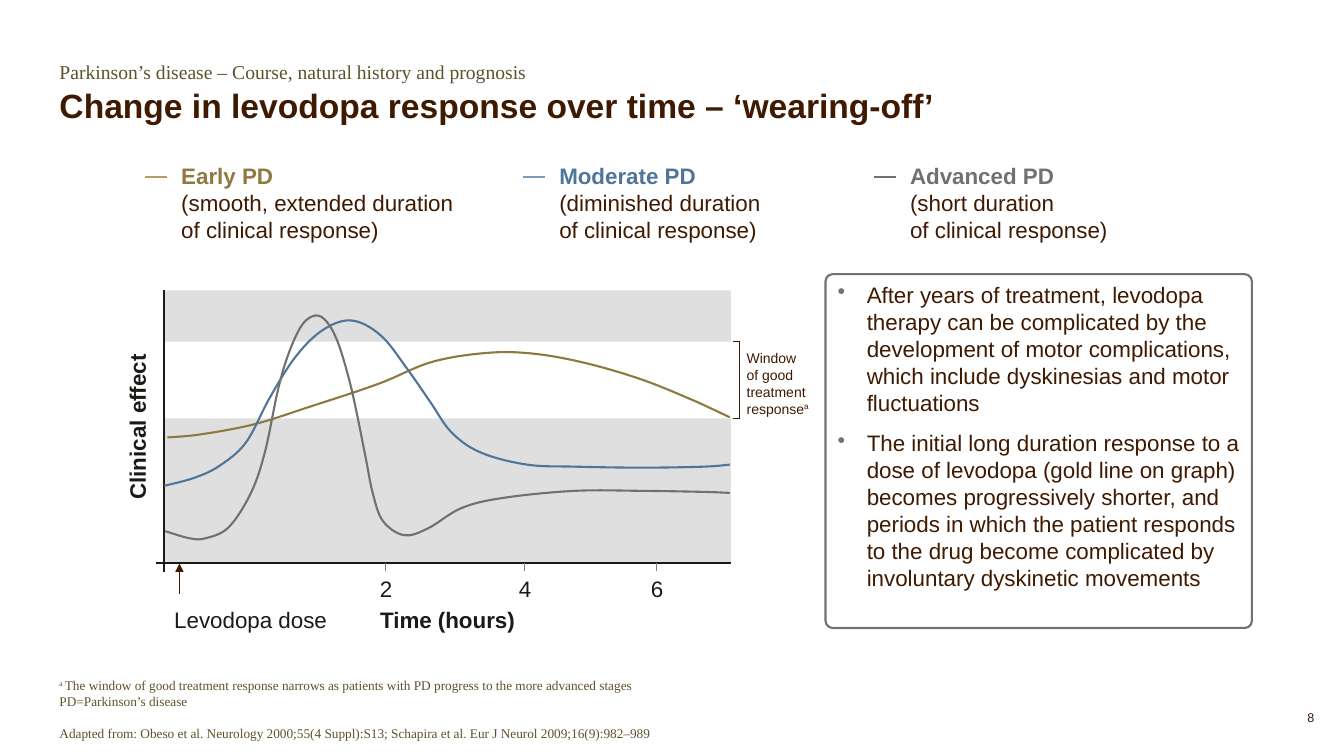
import pptx
import pptx.util
import pptx.dml.color
import pptx.enum.shapes
import pptx.enum.text
import pptx.oxml
import pptx.oxml.ns
from pptx.util import Inches

BROWN, INK, GREY, OLIVE = "3F1A01", "1A1A17", "717171", "5E512C"
GOLD, BLUE, BAND, TICK = "8E7941", "4F7599", "DFDFDF", "7F7F7F"
SERIF = "Times New Roman"

TOPIC = "Parkinson’s disease – Course, natural history and prognosis"
TITLE = "Change in levodopa response over time – ‘wearing-off’"
NOTES = [
    "The window of good treatment response narrows as patients with PD progress to the more advanced stages",
    "PD=Parkinson’s disease",
    "Adapted from: Obeso et al. Neurology 2000;55(4 Suppl):S13; Schapira et al. Eur J Neurol 2009;16(9):982–989",
]
POINTS = [
    "After years of treatment, levodopa therapy can be complicated by the development of motor "
    "complications, which include dyskinesias and motor fluctuations",
    "The initial long duration response to a dose of levodopa (gold line on graph) becomes "
    "progressively shorter, and periods in which the patient responds to the drug become "
    "complicated by involuntary dyskinetic movements",
]
LEGEND = [
    (1.44, 2.97, "Early PD", "(smooth, extended duration of clinical response)", GOLD, "B59E5F"),
    (5.19, 2.69, "Moderate PD", "(diminished duration \vof clinical response)", BLUE, "7B9CBB"),
    (8.67, 2.69, "Advanced PD", "(short duration \vof clinical response)", GREY, GREY),
]
HOURS = [("2", 3.82), ("4", 5.2), ("6", 6.51)]
CURVES = [
    (GOLD, [(1.66, 4.34), (1.99, 4.31), (2.52, 4.21), (3.06, 4.04), (3.75, 3.81), (4.29, 3.59),
            (4.85, 3.5), (5.3, 3.51), (5.8, 3.6), (6.35, 3.76), (6.85, 3.96), (7.24, 4.14)]),
    (BLUE, [(1.63, 4.82), (1.93, 4.74), (2.18, 4.62), (2.44, 4.39), (2.68, 3.94), (2.94, 3.53),
            (3.21, 3.27), (3.49, 3.18), (3.78, 3.33), (4.04, 3.66), (4.27, 3.99), (4.48, 4.29),
            (4.77, 4.49), (5.23, 4.61), (5.71, 4.63), (6.37, 4.64), (6.98, 4.63), (7.24, 4.61)]),
    (GREY, [(1.64, 5.27), (1.88, 5.34), (2.04, 5.34), (2.27, 5.23), (2.49, 4.89), (2.63, 4.48),
            (2.76, 3.86), (2.87, 3.49), (3, 3.22), (3.13, 3.13), (3.24, 3.19), (3.35, 3.39),
            (3.46, 3.75), (3.54, 4.1), (3.63, 4.55), (3.7, 4.9), (3.8, 5.17), (4.01, 5.31),
            (4.25, 5.24), (4.58, 5.04), (4.99, 4.94), (5.7, 4.87), (6.38, 4.87), (6.97, 4.88),
            (7.24, 4.89)]),
]
LEFT, RIGHT, TOP, BASE = 1.63, 7.25, 2.88, 5.59
HIGH, LOW = 3.39, 4.15

Align = pptx.enum.text.PP_ALIGN
Anchor = pptx.enum.text.MSO_ANCHOR
Shape = pptx.enum.shapes.MSO_SHAPE
qn = pptx.oxml.ns.qn

deck = pptx.Presentation()
deck.slide_width, deck.slide_height = Inches(40 / 3), Inches(7.5)
slide = deck.slides.add_slide(deck.slide_layouts[5])
shapes = slide.shapes


def tint(code):
    return pptx.dml.color.RGBColor.from_string(code)


def node(name, attrs="", inner=""):
    space = pptx.oxml.ns.nsdecls("a")
    return pptx.oxml.parse_xml(f"<a:{name} {space} {attrs}>{inner}</a:{name}>")


def style(run, size, color, bold=False, face="Arial"):
    run.font.size = pptx.util.Pt(size)
    run.font.name = face
    run.font.bold = bold
    run.font.color.rgb = tint(color)


def fill_text(shape, lines, size, color, bold=False, face="Arial",
              align=Align.LEFT, anchor=Anchor.TOP, flush=False):
    frame = shape.text_frame
    frame.text = "\n".join(lines)
    frame.word_wrap = True
    frame.auto_size = pptx.enum.text.MSO_AUTO_SIZE.NONE
    frame.vertical_anchor = anchor
    if flush:
        frame.margin_left = frame.margin_right = frame.margin_top = frame.margin_bottom = 0
    for para in frame.paragraphs:
        para.alignment = align
        for run in para.runs:
            style(run, size, color, bold, face)
    return frame.paragraphs


def label(box, lines, size, color, **rest):
    shape = shapes.add_textbox(*map(Inches, box))
    return shape, fill_text(shape, lines, size, color, **rest)


def pen(shape, color, width):
    shape.line.color.rgb = tint(color)
    shape.line.width = pptx.util.Pt(width)


def rule(x1, y1, x2, y2, color, width):
    line = shapes.add_connector(pptx.enum.shapes.MSO_CONNECTOR.STRAIGHT,
                                *map(Inches, (x1, y1, x2, y2)))
    pen(line, color, width)
    line._element.spPr.append(node("effectLst"))
    return line


def raised(run):
    run._r.get_or_add_rPr().set("baseline", "30000")


def bend(curve, knots):
    left, top = (min(axis) for axis in zip(*knots))
    ends = [knots[0]] + knots + [knots[-1]]
    spans = zip(ends, ends[1:], ends[2:], ends[3:])
    parts = list(curve._element.spPr.iter(qn("a:lnTo")))
    for part, (a, b, c, d) in zip(parts, spans):
        part.tag = qn("a:cubicBezTo")
        grips = [[q + (r - p) / 6 for p, q, r in zip(a, b, c)],
                 [r - (s - q) / 6 for q, r, s in zip(b, c, d)]]
        for i, (x, y) in enumerate(grips):
            part.insert(i, node("pt", f'x="{Inches(x - left)}" y="{Inches(y - top)}"'))


label((0.59, 0.59, 10.08, 0.29), [TOPIC], 14, OLIVE, face=SERIF, flush=True)

title = shapes.title
title.left, title.top, title.width, title.height = map(Inches, (0.59, 0.89, 10.08, 0.36))
head = fill_text(title, [TITLE], 24, BROWN, bold=True, anchor=Anchor.BOTTOM, flush=True)
head[0].line_spacing = 0.9

_, notes = label((0.59, 6.67, 10.08, 0.68), ["a "] + NOTES[1:], 9.5, OLIVE,
                 face=SERIF, anchor=Anchor.BOTTOM, flush=True)
raised(notes[0].runs[0])
first = notes[0].add_run()
first.text = NOTES[0]
style(first, 9.5, OLIVE, face=SERIF)
notes[2].space_before = pptx.util.Pt(11)

label((12.39, 7.04, 0.65, 0.17), ["8"], 9, BROWN, align=Align.RIGHT, flush=True)

panel = shapes.add_shape(Shape.ROUNDED_RECTANGLE, *map(Inches, (8.19, 2.72, 4.23, 3.51)))
panel.adjustments[0] = 0.02
panel.shadow.inherit = False
panel.fill.background()
pen(panel, GREY, 1.5)
for i, para in enumerate(fill_text(panel, POINTS, 16, BROWN)):
    props = para._p.get_or_add_pPr()
    props.set("marL", str(Inches(0.29)))
    props.set("indent", str(-Inches(0.29)))
    shade = node("buClr")
    shade.append(node("srgbClr", f'val="{GREY}"'))
    props.append(shade)
    props.append(node("buChar", 'char="•"'))
    if i:
        para.space_before = pptx.util.Pt(10)

for top, end in ((LOW, BASE), (TOP, HIGH)):
    band = shapes.add_shape(Shape.RECTANGLE, *map(Inches, (LEFT, top, RIGHT - LEFT, end - top)))
    band.shadow.inherit = False
    band.fill.solid()
    band.fill.fore_color.rgb = tint(BAND)
    band.line.fill.background()

rule(LEFT, TOP, LEFT, 5.67, INK, 1.5)
rule(RIGHT, BASE, 1.55, BASE, INK, 1.5)
for hour, x in HOURS:
    rule(x, BASE, x, 5.66, TICK, 0.5)
    label((x - 0.15, 5.66, 0.29, 0.37), [hour], 16, INK, align=Align.CENTER)
label((LEFT, 5.96, RIGHT - LEFT, 0.37), ["Time (hours)"], 16, INK, bold=True, align=Align.CENTER)
label((LEFT, 5.96, 1.73, 0.37), ["Levodopa dose"], 16, INK)
dose = rule(1.78, 5.89, 1.78, BASE, BROWN, 1)
dose._element.spPr.find(qn("a:ln")).append(node("tailEnd", 'type="triangle"'))
effect, _ = label((0, 4.05, 2.72, 0.37), ["Clinical effect"], 16, INK, bold=True, align=Align.CENTER)
effect.rotation = 270

for color, knots in CURVES:
    dots = [tuple(map(Inches, knot)) for knot in knots]
    build = shapes.build_freeform(*dots[0])
    build.add_line_segments(dots[1:], close=False)
    curve = build.convert_to_shape()
    bend(curve, knots)
    curve.shadow.inherit = False
    curve.fill.background()
    pen(curve, color, 1.5)

for x, width, stage, detail, color, mark in LEGEND:
    rule(x, 1.76, x + 0.22, 1.76, mark, 1.5)
    _, paras = label((x + 0.26, 1.56, width, 0.91), [f"{stage}\v{detail}"], 16, BROWN)
    style(paras[0].runs[0], 16, color, bold=True)

rule(7.34, HIGH, 7.34, LOW, BROWN, 0.5)
for y in (HIGH, LOW):
    rule(7.34, y, 7.27, y, BROWN, 0.5)
_, paras = label((7.31, 3.42, 0.84, 0.77), ["Window of good treatment response"], 10, BROWN)
sign = paras[0].add_run()
sign.text = "a"
style(sign, 10, BROWN)
raised(sign)

deck.save("out.pptx")
